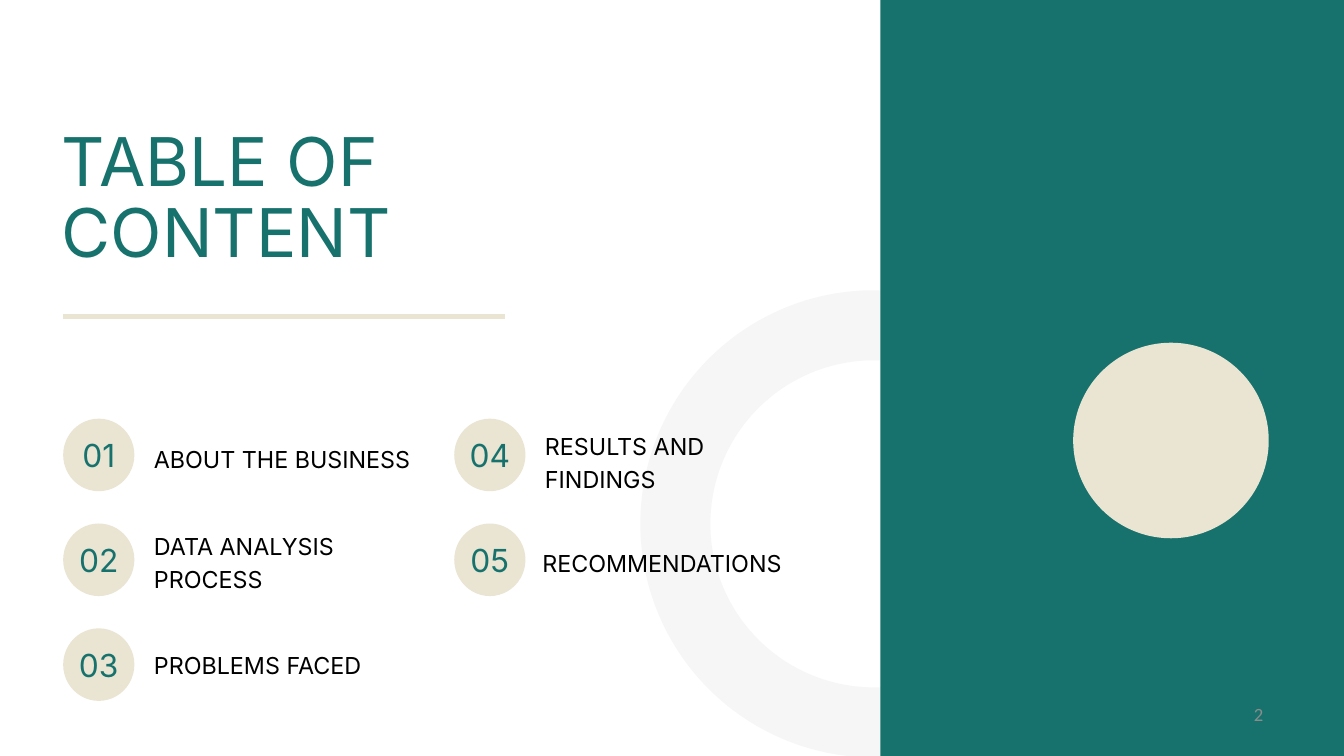
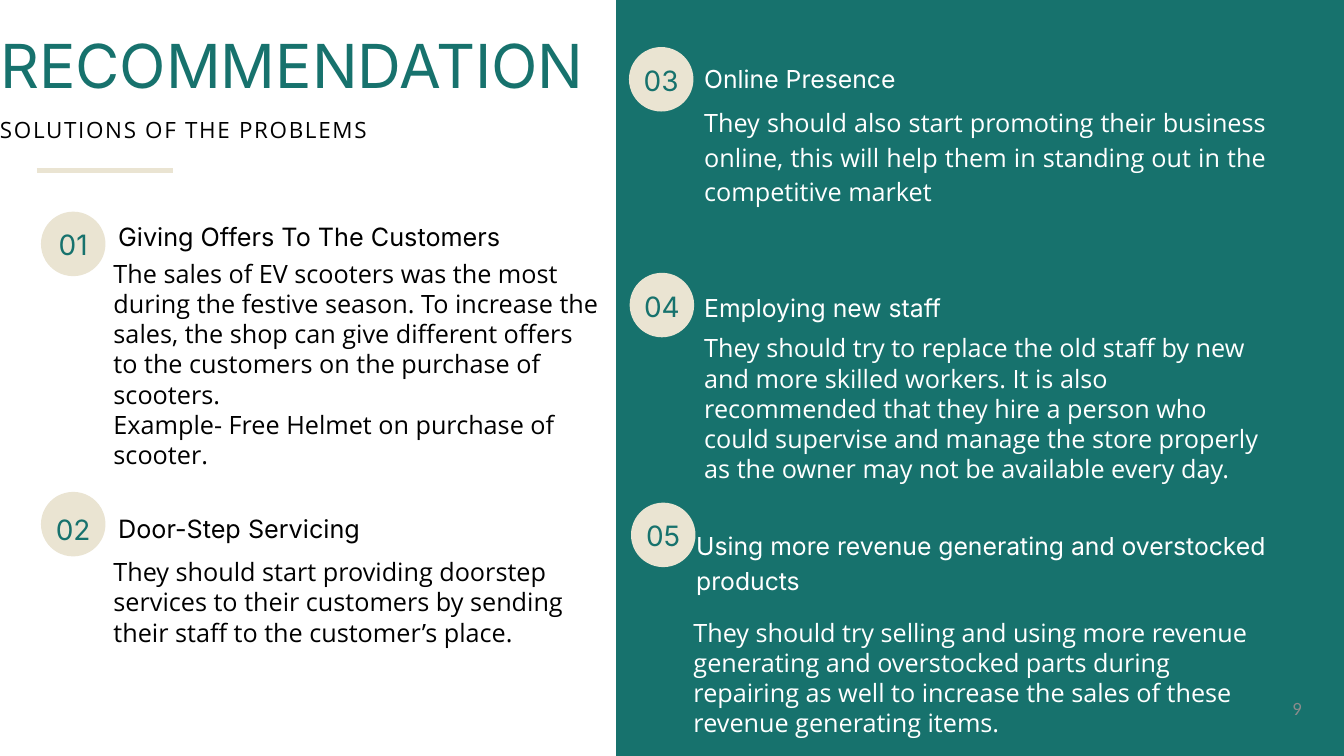
"""Builds the contents and recommendation slides of a business report."""
from lxml import etree
from pptx import Presentation
from pptx.dml.color import RGBColor
from pptx.enum.shapes import MSO_CONNECTOR, MSO_SHAPE
from pptx.enum.text import MSO_ANCHOR, MSO_AUTO_SIZE, PP_ALIGN
from pptx.oxml.ns import qn
from pptx.util import Inches, Pt

TOP, MIDDLE = MSO_ANCHOR.TOP, MSO_ANCHOR.MIDDLE
LEFT, CENTER, RIGHT, FULL = PP_ALIGN.LEFT, PP_ALIGN.CENTER, PP_ALIGN.RIGHT, PP_ALIGN.JUSTIFY
OVAL, RECT, LINE = MSO_SHAPE.OVAL, MSO_SHAPE.RECTANGLE, MSO_CONNECTOR.STRAIGHT

TEAL, SAND, PALE, GREY = "17726D", "EAE4D2", "F6F6F6", "8C8C8C"
BLACK, WHITE = "000000", "FFFFFF"
HEAD, BODY, FOOT = "Inter", "Open Sans", "Calibri"
WIDE, HIGH = 20, 11.25

TOPICS = [
    ("ABOUT THE BUSINESS", (2.29, 6.56, 3.95, 0.46)),
    ("DATA ANALYSIS PROCESS", (2.29, 7.85, 3.95, 0.94)),
    ("PROBLEMS FACED", (2.29, 9.62, 3.95, 0.46)),
    ("RESULTS AND FINDINGS", (8.11, 6.36, 3.95, 0.94)),
    ("RECOMMENDATIONS", (8.07, 8.1, 3.95, 0.46)),
]
ROWS = 3

ON_WHITE = {"ink": BLACK, "size": 27, "pad": (0.1, 0.05)}
ON_TEAL = {"ink": WHITE, "size": 26.5, "pad": (0, 0)}
ADVICE = [
    {"side": ON_WHITE, "dot": (0.61, 3.15), "drop": -0.03,
     "head": "Giving Offers To The Customers", "head_at": (1.66, 3.17, 6.29, 0.59),
     "text": ["The sales of EV scooters was the most during the festive season. "
              "To increase the sales, the shop can give different offers to the "
              "customers on the purchase of scooters.",
              "Example- Free Helmet on purchase of scooter."],
     "text_at": (1.59, 3.79, 7.48, 3.83)},
    {"side": ON_WHITE, "dot": (0.61, 7.32), "drop": 0.03,
     "head": "Door-Step Servicing", "head_at": (1.66, 7.51, 6.29, 0.59),
     "text": ["They should start providing doorstep services to their customers "
              "by sending their staff to the customer’s place."],
     "text_at": (1.59, 8.23, 7.12, 1.95)},
    {"side": ON_TEAL, "dot": (9.36, 0.7), "drop": -0.03,
     "head": "Online Presence", "head_at": (10.48, 0.86, 8.36, 0.49),
     "text": ["They should also start promoting their business online, this will "
              "help them in standing out in the competitive market"],
     "text_at": (10.48, 1.53, 8.36, 1.52), "flow": {"lead": 37.2, "align": FULL}},
    {"side": ON_TEAL, "dot": (9.37, 4.06), "drop": -0.03,
     "head": "Employing new staff", "head_at": (10.48, 4.28, 6.94, 0.49),
     "text": ["They should try to replace the old staff by new and more skilled "
              "workers. It is also recommended that they hire a person who could "
              "supervise and manage the store properly as the owner may not be "
              "available every day."],
     "text_at": (10.48, 4.95, 8.36, 2.75)},
    {"side": ON_TEAL, "dot": (9.39, 7.48), "drop": -0.03,
     "head": "Using more revenue generating and overstocked products",
     "head_at": (10.36, 7.81, 9.63, 1.02),
     "text": ["They should try selling and using more revenue generating and "
              "overstocked parts during repairing as well to increase the sales "
              "of these revenue generating items."],
     "text_at": (10.32, 9.18, 8.36, 2.29)},
]


def tint(code):
    return RGBColor.from_string(code)


def span(box):
    return [Inches(n) for n in box]


def write(shape, paras, size, font, ink, lead=None, align=LEFT,
          pad=(0, 0), anchor=TOP, gap=None):
    frame = shape.text_frame
    frame.word_wrap = True
    frame.auto_size = MSO_AUTO_SIZE.NONE
    frame.vertical_anchor = anchor
    frame.margin_left = frame.margin_right = Inches(pad[0])
    frame.margin_top = frame.margin_bottom = Inches(pad[1])
    for i, words in enumerate(paras):
        para = frame.add_paragraph() if i else frame.paragraphs[0]
        para.alignment = align
        if lead:
            para.line_spacing = Pt(lead)
        run = para.add_run()
        run.text = words
        run.font.size, run.font.name = Pt(size), font
        run.font.color.rgb = tint(ink)
        if gap:
            run.font._element.set("spc", str(gap))


def label(slide, box, paras, size, font, ink, **look):
    write(slide.shapes.add_textbox(*span(box)), paras, size, font, ink, **look)


def block(slide, kind, box, fill):
    shape = slide.shapes.add_shape(kind, *span(box))
    shape.shadow.inherit = False
    shape.fill.solid()
    shape.fill.fore_color.rgb = tint(fill)
    shape.line.fill.background()
    return shape


def ring(slide, box, ink, width):
    shape = slide.shapes.add_shape(OVAL, *span(box))
    shape.shadow.inherit = False
    shape.fill.background()
    shape.line.color.rgb = tint(ink)
    shape.line.width = Pt(width)


def badge(slide, num, box, size, drop):
    dot = block(slide, OVAL, box, SAND)
    write(dot, [f"{num:02}"], size, HEAD, TEAL, size * 1.4, CENTER, anchor=MIDDLE)
    frame = dot.text_frame
    frame.word_wrap = False
    frame.margin_top = Inches(max(2 * drop, 0))
    frame.margin_bottom = Inches(max(-2 * drop, 0))


def rule(slide, left, right, y):
    line = slide.shapes.add_connector(LINE, *span((left, y, right, y)))
    line.line.color.rgb = tint(SAND)
    line.line.width = Pt(6)
    etree.SubElement(line._element.spPr, qn("a:effectLst"))


def start(deck, title, box, size, edge):
    slide = deck.slides.add_slide(deck.slide_layouts[5])
    head = slide.shapes.title
    head.left, head.top, head.width, head.height = span(box)
    write(head, [title], size, HEAD, TEAL, 75.6)
    if edge > box[0] + box[2] + 4:
        ring(slide, (10.05, 4.84, 5.91, 5.91), PALE, 75)
    block(slide, RECT, (edge, 0, WIDE - edge, HIGH), TEAL)
    return slide


def page(slide, num, left, top):
    label(slide, (left, top, 2.33, 0.4), [num], 20, FOOT, GREY,
          align=RIGHT, pad=(0.1, 0.05), anchor=MIDDLE)


def contents(deck):
    slide = start(deck, "TABLE OF CONTENT", (0.92, 1.93, 7.83, 2.13), 72, 13.1)
    block(slide, OVAL, (15.97, 5.1, 2.91, 2.91), SAND)
    rule(slide, 0.94, 7.52, 4.71)
    for i, (topic, box) in enumerate(TOPICS):
        col, row = divmod(i, ROWS)
        spot = (0.94 + 5.82 * col, 6.23 + 1.56 * row, 1.06, 1.08)
        badge(slide, i + 1, spot, 34, -0.05)
        label(slide, box, [topic], 25, HEAD, BLACK, lead=35)
    page(slide, "2", 16.57, 10.42)


def advice(deck):
    slide = start(deck, "RECOMMENDATION", (0, 0.45, 9.08, 1.07), 65, 9.17)
    label(slide, (0, 1.66, 7.46, 0.43), ["SOLUTIONS OF THE PROBLEMS"],
          24, BODY, BLACK, lead=33.6, gap=180)
    rule(slide, 0.55, 2.58, 2.54)
    for num, item in enumerate(ADVICE, 1):
        side = item["side"]
        ink, pad = side["ink"], side["pad"]
        badge(slide, num, (*item["dot"], 0.96, 0.96), 30, item["drop"])
        label(slide, item["head_at"], [item["head"]], side["size"], HEAD, ink,
              lead=37.8, pad=pad)
        label(slide, item["text_at"], item["text"], 27, BODY, ink,
              pad=pad, **item.get("flow", {}))
    page(slide, "9", 17.14, 10.34)


def main():
    deck = Presentation()
    deck.slide_width, deck.slide_height = Inches(WIDE), Inches(HIGH)
    contents(deck)
    advice(deck)
    deck.save("out.pptx")


if __name__ == "__main__":
    main()
